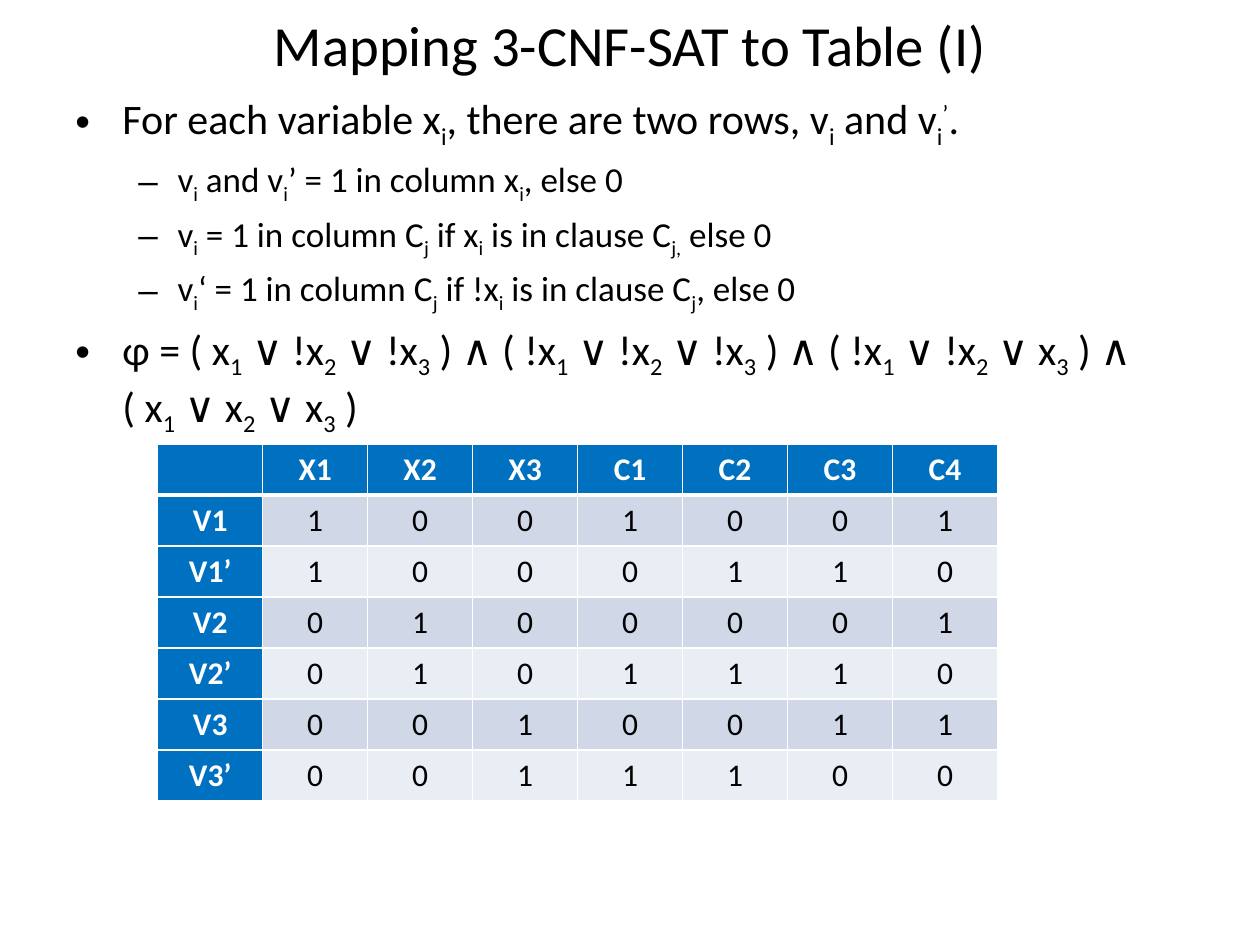
from lxml import etree
from pptx import Presentation
from pptx.dml.color import RGBColor
from pptx.enum.text import MSO_ANCHOR, PP_ALIGN
from pptx.oxml.ns import qn
from pptx.util import Cm, Pt

FONT = "Calibri"
COLORS = {"text": "000000", "white": "FFFFFF", "head": "0070C0",
          "odd": "D0D8E8", "even": "E9EDF4"}
BASELINES = {"_": "-25000", "^": "30000"}
# level: (bullet, text size, left margin, hanging indent), lengths in cm
LEVELS = [("•", 24, 0.95, 0.95), ("–", 20, 2.06, 0.79)]

TITLE = "Mapping 3-CNF-SAT to Table (I)"
# Runs are split by "|"; a leading _ or ^ lowers or raises the run.
BULLETS = [
    (0, "For each variable x|_i|, there are two rows, v|_i| and v|_i|^’|."),
    (1, "v|_i| and v|_i|’ = 1 in column x|_i|, else 0"),
    (1, "v|_i| = 1 in column C|_j| if x|_i| is in clause C|_j,| else 0"),
    (1, "v|_i|‘ = 1 in column C|_j| if !x|_i| is in clause C|_j|, else 0"),
    (0, "φ = ( x|_1| ∨ !x|_2| ∨ !x|_3| ) ∧ ( !x|_1| ∨ !x|_2| ∨ !x|_3"
        "| ) ∧ ( !x|_1| ∨ !x|_2| ∨ x|_3| ) ∧ ( x|_1| ∨ x|_2| ∨ x|_3| )"),
]
HEADER = ["", "X1", "X2", "X3", "C1", "C2", "C3", "C4"]
ROWS = {"V1": "1001001", "V1’": "1000110", "V2": "0100001",
        "V2’": "0101110", "V3": "0010011", "V3’": "0011100"}


def add_run(p, text, size, color="text", bold=False):
    r = p.add_run()
    r.text = text
    r.font.name = FONT
    r.font.size = Pt(size)
    r.font.bold = bold
    r.font.color.rgb = RGBColor.from_string(COLORS[color])
    return r


def add_text_frame(slide, box):
    tf = slide.shapes.add_textbox(*map(Cm, box)).text_frame
    tf.word_wrap = True
    return tf


def add_title(slide, box):
    tf = add_text_frame(slide, box)
    tf.vertical_anchor = MSO_ANCHOR.MIDDLE
    p = tf.paragraphs[0]
    p.alignment = PP_ALIGN.CENTER
    add_run(p, TITLE, 32.4)


def set_bullet(p, char, margin, hanging):
    pPr = p._p.get_or_add_pPr()
    pPr.set("marL", str(Cm(margin)))
    pPr.set("indent", str(-Cm(hanging)))
    etree.SubElement(pPr, qn("a:buFont")).set("typeface", "Arial")
    etree.SubElement(pPr, qn("a:buChar")).set("char", char)


def add_bullets(slide, box):
    tf = add_text_frame(slide, box)
    for i, (level, text) in enumerate(BULLETS):
        p = tf.add_paragraph() if i else tf.paragraphs[0]
        char, size, margin, hanging = LEVELS[level]
        p.level = level
        set_bullet(p, char, margin, hanging)
        if i:
            p.space_before = Pt(0.2 * size)
        for piece in text.split("|"):
            baseline = BASELINES.get(piece[0])
            r = add_run(p, piece[1:] if baseline else piece, size)
            if baseline:
                r._r.get_or_add_rPr().set("baseline", baseline)


def set_borders(cell, **widths):
    """Draw white borders, 1 pt wide unless a side is given its own width."""
    tcPr = cell._tc.get_or_add_tcPr()
    for side in "LRTB":
        ln = etree.SubElement(tcPr, qn(f"a:ln{side}"))
        ln.set("w", str(Pt(widths.get(side, 1))))
        fill = etree.SubElement(ln, qn("a:solidFill"))
        etree.SubElement(fill, qn("a:srgbClr")).set("val", COLORS["white"])


def add_truth_table(slide, box):
    grid = [HEADER] + [[name, *values] for name, values in ROWS.items()]
    frame = slide.shapes.add_table(len(grid), len(HEADER), *map(Cm, box))
    table = frame.table
    for y, row in enumerate(grid):
        for x, text in enumerate(row):
            cell = table.cell(y, x)
            is_head = y == 0 or x == 0
            set_borders(cell, **{0: {"B": 3}, 1: {"T": 3}}.get(y, {}))
            fill = "head" if is_head else "odd" if y % 2 else "even"
            cell.fill.solid()
            cell.fill.fore_color.rgb = RGBColor.from_string(COLORS[fill])
            p = cell.text_frame.paragraphs[0]
            p.alignment = PP_ALIGN.CENTER
            if text:
                add_run(p, text, 18, "white" if is_head else "text", is_head)


def main():
    prs = Presentation()
    prs.slide_width, prs.slide_height = Cm(25.4), Cm(19.05)
    slide = prs.slides.add_slide(prs.slide_layouts[6])
    add_title(slide, (1.27, 0, 22.86, 1.75))
    add_bullets(slide, (1.27, 1.75, 22.86, 14.27))
    add_truth_table(slide, (3.18, 8.95, 16.93, 7.2))
    prs.save("out.pptx")


if __name__ == "__main__":
    main()
